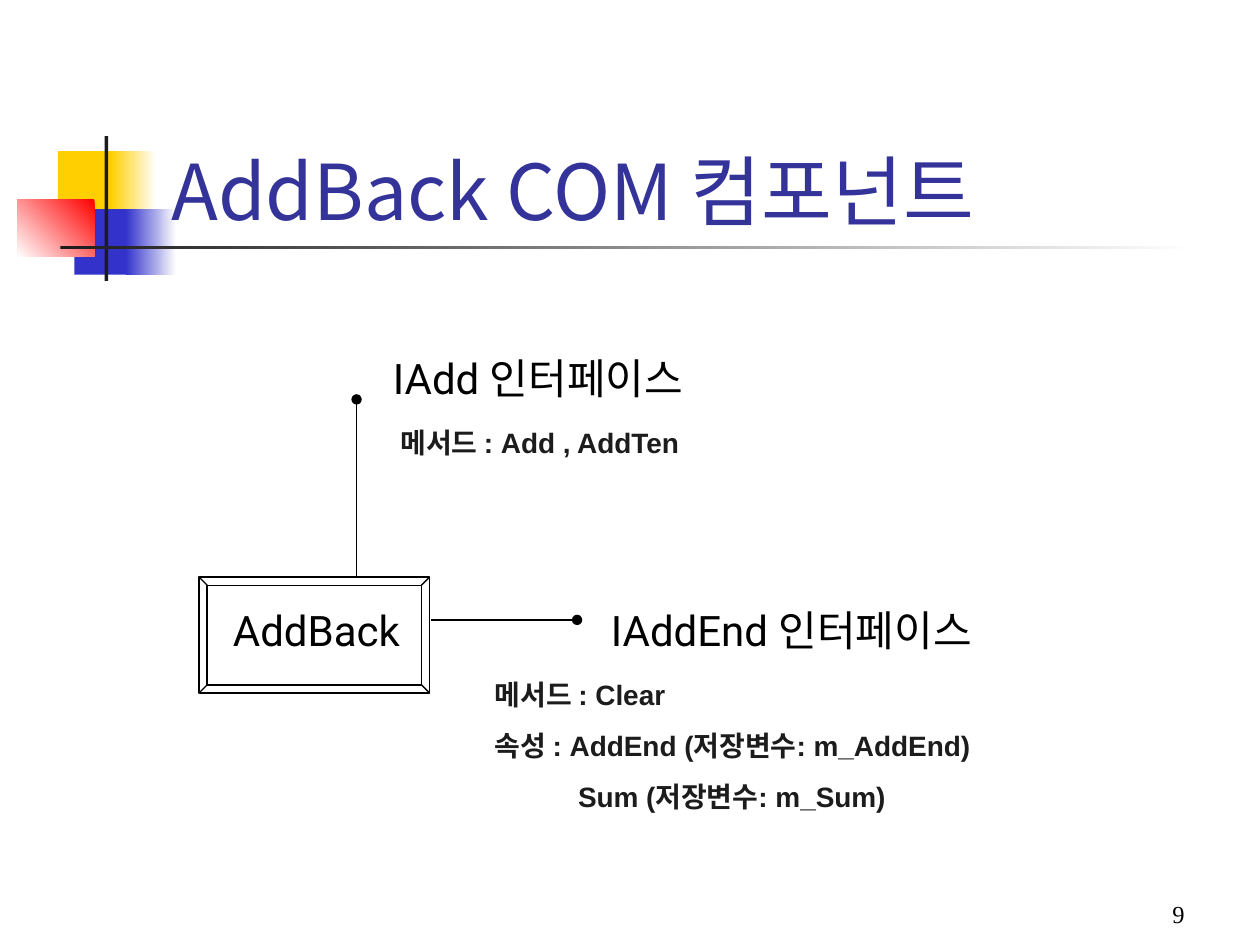
from lxml.etree import SubElement
from pptx import Presentation
from pptx.dml.color import RGBColor
from pptx.enum.shapes import MSO_CONNECTOR, MSO_SHAPE
from pptx.enum.text import MSO_ANCHOR, MSO_AUTO_SIZE, PP_ALIGN
from pptx.oxml.ns import qn
from pptx.util import Inches, Pt

KOREAN_FONT = "Noto Sans CJK KR"
YELLOW, BLUE, RED = "FFCF01", "3333CC", "FF0000"
WHITE, BLACK, CHARCOAL = "FFFFFF", "000000", "1C1C1C"


def color(hex_code):
    return RGBColor.from_string(hex_code)


def add_block(slide, box, start, end=None, angle=0):
    """Add a borderless rectangle, plain or fading from start to end."""
    shape = slide.shapes.add_shape(MSO_SHAPE.RECTANGLE, *map(Inches, box))
    shape.shadow.inherit = False
    shape.line.fill.background()
    if end is None:
        shape.fill.solid()
        shape.fill.fore_color.rgb = color(start)
        return
    shape.fill.gradient()
    shape.fill.gradient_angle = angle
    for stop, position, shade in zip(shape.fill.gradient_stops, (0, 1), (start, end)):
        stop.position = position
        stop.color.rgb = color(shade)


def format_text(frame, lines, size, font, shade=BLACK, bold=False,
                align=PP_ALIGN.LEFT, anchor=MSO_ANCHOR.TOP, wrap=True,
                gap=0, last_indent=0):
    frame.word_wrap = wrap
    frame.auto_size = MSO_AUTO_SIZE.NONE
    frame.vertical_anchor = anchor
    for index, line in enumerate(lines):
        paragraph = frame.paragraphs[0] if index == 0 else frame.add_paragraph()
        paragraph.alignment = align
        if index:
            paragraph.space_before = Pt(gap)
        if last_indent and index == len(lines) - 1:
            paragraph._p.get_or_add_pPr().set("marL", str(Inches(last_indent)))
        run = paragraph.add_run()
        run.text = line
        run.font.size = Pt(size)
        run.font.bold = bold
        run.font.name = font
        run.font.color.rgb = color(shade)
        SubElement(run._r.get_or_add_rPr(), qn("a:ea"), typeface=KOREAN_FONT)


def add_text(slide, box, lines, **text_format):
    text_box = slide.shapes.add_textbox(*map(Inches, box))
    format_text(text_box.text_frame, lines, **text_format)


def add_interface_line(slide, start, end):
    """Add a line that ends in a round dot."""
    connector = slide.shapes.add_connector(
        MSO_CONNECTOR.STRAIGHT, *map(Inches, start + end))
    connector.line.color.rgb = color(BLACK)
    connector.line.width = Pt(0.75)
    SubElement(connector.line._get_or_add_ln(), qn("a:tailEnd"), type="oval")
    SubElement(connector._element.spPr, qn("a:effectLst"))


def add_component(slide, box):
    shape = slide.shapes.add_shape(MSO_SHAPE.BEVEL, *map(Inches, box))
    shape.adjustments[0] = 0.07
    shape.shadow.inherit = False
    shape.fill.background()
    shape.line.color.rgb = color(BLACK)
    shape.line.width = Pt(0.75)


def add_decoration(slide):
    add_block(slide, (0.46, 1.2, 0.48, 0.52), YELLOW)
    add_block(slide, (0.88, 1.2, 0.36, 0.52), YELLOW, WHITE)
    add_block(slide, (0.59, 1.66, 0.46, 0.52), BLUE)
    add_block(slide, (1, 1.66, 0.4, 0.52), BLUE, WHITE)
    add_block(slide, (0.14, 1.58, 0.61, 0.46), RED, WHITE, angle=225)
    add_block(slide, (0.83, 1.08, 0.03, 1.15), CHARCOAL)
    add_block(slide, (0.48, 1.95, 9, 0.03), CHARCOAL, WHITE)


def set_title(slide, box, text):
    title = slide.shapes.title
    title.left, title.top, title.width, title.height = map(Inches, box)
    format_text(title.text_frame, [text], size=44, font=KOREAN_FONT,
                shade="333399", anchor=MSO_ANCHOR.BOTTOM)
    # Bring the title in front of the decoration
    slide.shapes._spTree.append(title._element)


def main():
    presentation = Presentation()
    presentation.slide_width = Inches(10)
    presentation.slide_height = Inches(7.5)
    slide = presentation.slides.add_slide(presentation.slide_layouts[5])

    add_decoration(slide)
    set_title(slide, (1.26, 0.67, 8.52, 1.25), "AddBack COM 컴포넌트")

    label = dict(size=24, font="Roboto")
    detail = dict(size=16, font="Arial", shade=CHARCOAL, bold=True, gap=10)

    add_component(slide, (1.58, 4.58, 1.83, 0.92))
    add_text(slide, (1.75, 4.75, 1.58, 0.5), ["AddBack"], **label)

    add_interface_line(slide, (3.42, 4.92), (4.58, 4.92))
    add_text(slide, (4.75, 4.75, 3.22, 0.5), ["IAddEnd 인터페이스"], wrap=False, **label)
    add_text(slide, (3.83, 5.33, 4.67, 1.18),
             ["메서드 : Clear", "속성 : AddEnd (저장변수: m_AddEnd)",
              "Sum (저장변수: m_Sum)"], last_indent=0.66, **detail)

    add_interface_line(slide, (2.83, 4.58), (2.83, 3.17))
    add_text(slide, (3.02, 2.75, 2.62, 0.5), ["IAdd 인터페이스"], wrap=False, **label)
    add_text(slide, (3.08, 3.33, 2.83, 0.37), ["메서드 : Add , AddTen"], **detail)

    add_text(slide, (7.42, 6.92, 2.08, 0.5), ["9"], size=14, font="Times New Roman",
             align=PP_ALIGN.RIGHT, anchor=MSO_ANCHOR.BOTTOM)
    presentation.save("out.pptx")


if __name__ == "__main__":
    main()
